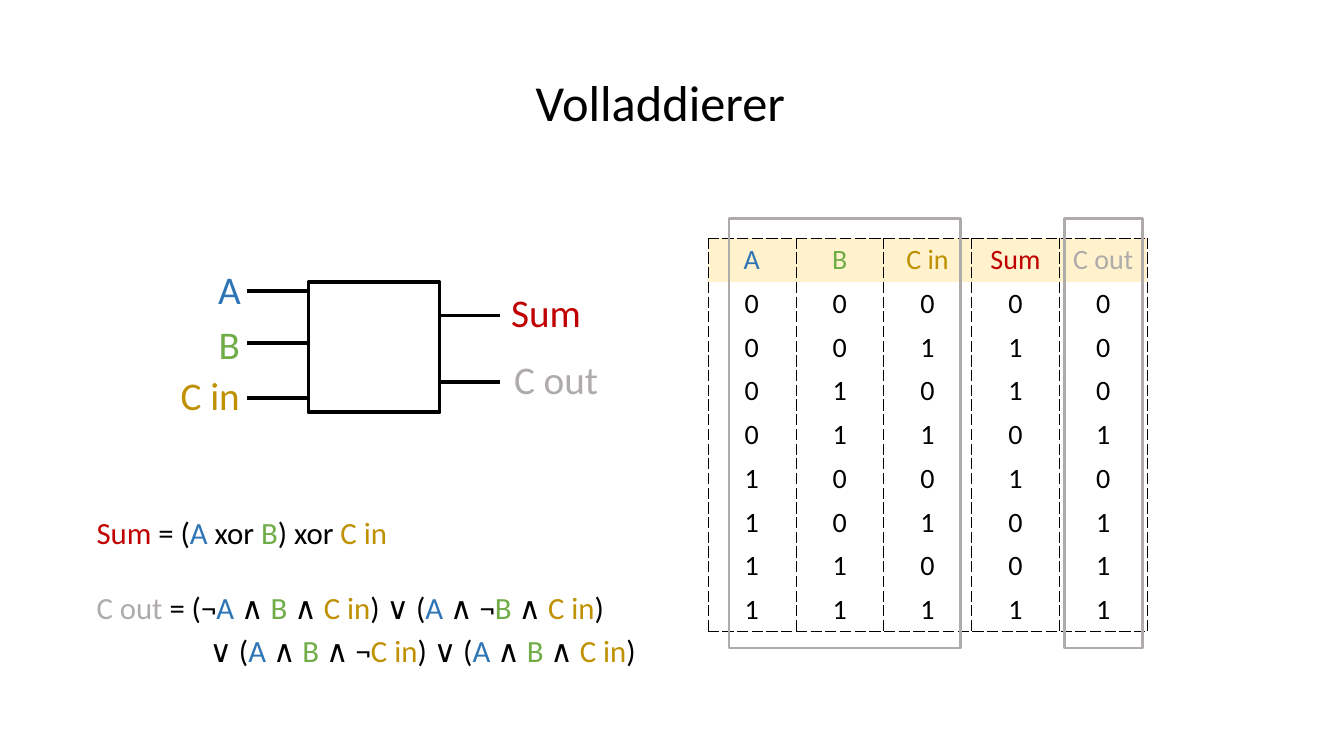
from dataclasses import dataclass, field
from itertools import product

from pptx import Presentation
from pptx import util as u
from pptx.dml.color import RGBColor
from pptx.enum import shapes, text
from pptx.oxml import parse_xml
from pptx.oxml.ns import nsdecls, qn


@dataclass
class Theme:
    """Colours, font and type sizes of the slide."""
    font: str = "Calibri"
    ink: str = "000000"
    header: str = "FFF2CC"
    frame: str = "AFABAB"
    title: int = 36
    label: int = 28
    formula: int = 22
    table: int = 20
    signals: dict = field(default_factory=lambda: {
        "A": "2E75B6", "B": "70AD47", "C in": "BF9000",
        "Sum": "C00000", "C out": "AFABAB"})


THEME = Theme()


def style_font(font, size, color=None):
    """Set the typeface, size and optional colour."""
    font.name = THEME.font
    font.size = u.Pt(size)
    if color:
        font.color.rgb = RGBColor.from_string(color)


def add_text(slide, box, pieces, size, align=text.PP_ALIGN.LEFT, wrap=True):
    """Add one line of text, colouring each piece that names a signal."""
    shape = slide.shapes.add_textbox(*map(u.Inches, box))
    shape.text_frame.word_wrap = wrap
    paragraph = shape.text_frame.paragraphs[0]
    paragraph.alignment = align
    style_font(paragraph.font, size)
    for piece in pieces:
        run = paragraph.add_run()
        run.text = piece
        color = THEME.signals.get(piece.strip(), THEME.ink)
        run.font.color.rgb = RGBColor.from_string(color)


def add_frame(slide, box, color, width):
    """Add an unfilled rectangle."""
    shape = slide.shapes.add_shape(
        shapes.MSO_SHAPE.RECTANGLE, *map(u.Inches, box))
    shape.shadow.inherit = False
    shape.fill.background()
    shape.line.color.rgb = RGBColor.from_string(color)
    shape.line.width = u.Pt(width)


def add_wire(slide, left, right, y):
    """Add a horizontal signal wire."""
    wire = slide.shapes.add_connector(
        shapes.MSO_CONNECTOR.STRAIGHT,
        *map(u.Inches, (left, y, right, y)))
    wire.line.color.rgb = RGBColor.from_string(THEME.ink)
    wire.line.width = u.Pt(2.75)
    wire._element.spPr.append(parse_xml(f"<a:effectLst {nsdecls('a')}/>"))


def set_borders(cell, dashed_sides):
    """Dash the given sides of a cell and clear the others."""
    properties = cell._tc.get_or_add_tcPr()
    for side in "LRTB":
        border = parse_xml(f'<a:ln{side} {nsdecls("a")} w="3175"/>')
        if side in dashed_sides:
            fill = border.makeelement(qn("a:solidFill"))
            fill.append(fill.makeelement(qn("a:srgbClr"), {"val": THEME.ink}))
            border.append(fill)
            border.append(border.makeelement(
                qn("a:prstDash"), {"val": "sysDash"}))
        else:
            border.append(border.makeelement(qn("a:noFill")))
        properties.append(border)


def add_title(slide, box):
    """Place and fill the title."""
    title = slide.shapes.title
    title.left, title.top, title.width, title.height = map(u.Inches, box)
    title.text_frame.text = "Volladdierer"
    title.text_frame.auto_size = text.MSO_AUTO_SIZE.NONE
    paragraph = title.text_frame.paragraphs[0]
    paragraph.alignment = text.PP_ALIGN.CENTER
    style_font(paragraph.font, THEME.title, THEME.ink)


def add_circuit(slide, box):
    """Draw the adder block with its wires and labels."""
    left, top, width, height = box
    right = left + width
    add_frame(slide, box, THEME.ink, 2.75)
    for y in (0.09, 0.6, 1.15):
        add_wire(slide, left - 0.61, left, top + y)
    for y in (0.33, 0.99):
        add_wire(slide, right, right + 0.6, top + y)
    labels = (
        ("A", -1.34, -0.22, 1.11), ("B", -1.34, 0.33, 1.11),
        ("C in", -1.53, 0.83, 1.11),
        ("Sum", 1.8, 0.01, 1.11), ("C out", 1.8, 0.68, 1.31))
    for name, x, y, label_width in labels:
        add_text(slide, (left + x, top + y, label_width, 0.57), [name],
                 THEME.label, text.PP_ALIGN.CENTER)


def add_formulas(slide, box):
    """Write the equations for the sum and the carry."""
    left, top, width, height = box
    formulas = (
        (0, 0, "Sum |= (|A |xor |B|) xor |C in"),
        (0, 0.74, "C out |= (¬|A |∧ |B |∧ |C in|) ∨ (|A |∧ ¬|B |∧ |C in|)"),
        (1.12, 1.17, "∨ (|A |∧ |B |∧ ¬|C in|) ∨ (|A |∧ |B |∧ |C in|)"))
    for x, y, formula in formulas:
        add_text(slide, (left + x, top + y, width - x, 0.47),
                 formula.split("|"), THEME.formula, wrap=False)


def add_truth_table(slide, box):
    """Build the truth table and frame its inputs and carry."""
    left, top, width, height = box
    rows = [list(THEME.signals)]
    for bits in product((0, 1), repeat=3):
        rows.append([*bits, sum(bits) % 2, sum(bits) // 2])
    table = slide.shapes.add_table(
        len(rows), len(rows[0]), *map(u.Inches, box)).table
    table.first_row = table.horz_banding = False
    for row_index, row in enumerate(rows):
        for column_index, value in enumerate(row):
            cell = table.cell(row_index, column_index)
            sides = "LR"
            if row_index == 0:
                sides += "T"
            elif row_index == len(rows) - 1:
                sides += "B"
            set_borders(cell, sides)
            if row_index == 0:
                cell.fill.solid()
                cell.fill.fore_color.rgb = RGBColor.from_string(THEME.header)
            else:
                cell.fill.background()
            cell.text = str(value)
            paragraph = cell.text_frame.paragraphs[0]
            paragraph.alignment = text.PP_ALIGN.CENTER
            style_font(paragraph.font, THEME.table,
                       THEME.signals.get(value, THEME.ink))
    for x, frame_width in ((0.21, 2.3), (3.54, 0.77)):
        add_frame(slide, (left + x, top - 0.19, frame_width, height + 0.36),
                  THEME.frame, 2)


def main():
    """Build and save the slide."""
    presentation = Presentation()
    presentation.slide_width = u.Inches(13.33)
    presentation.slide_height = u.Inches(7.5)
    slide = presentation.slides.add_slide(presentation.slide_layouts[5])
    add_title(slide, (4.9, 0.65, 3.3, 0.71))
    add_circuit(slide, (3.06, 2.8, 1.3, 1.29))
    add_formulas(slide, (0.86, 5.05, 6.16, 1.64))
    add_truth_table(slide, (7.02, 2.36, 4.36, 3.9))
    presentation.save("out.pptx")


if __name__ == "__main__":
    main()
